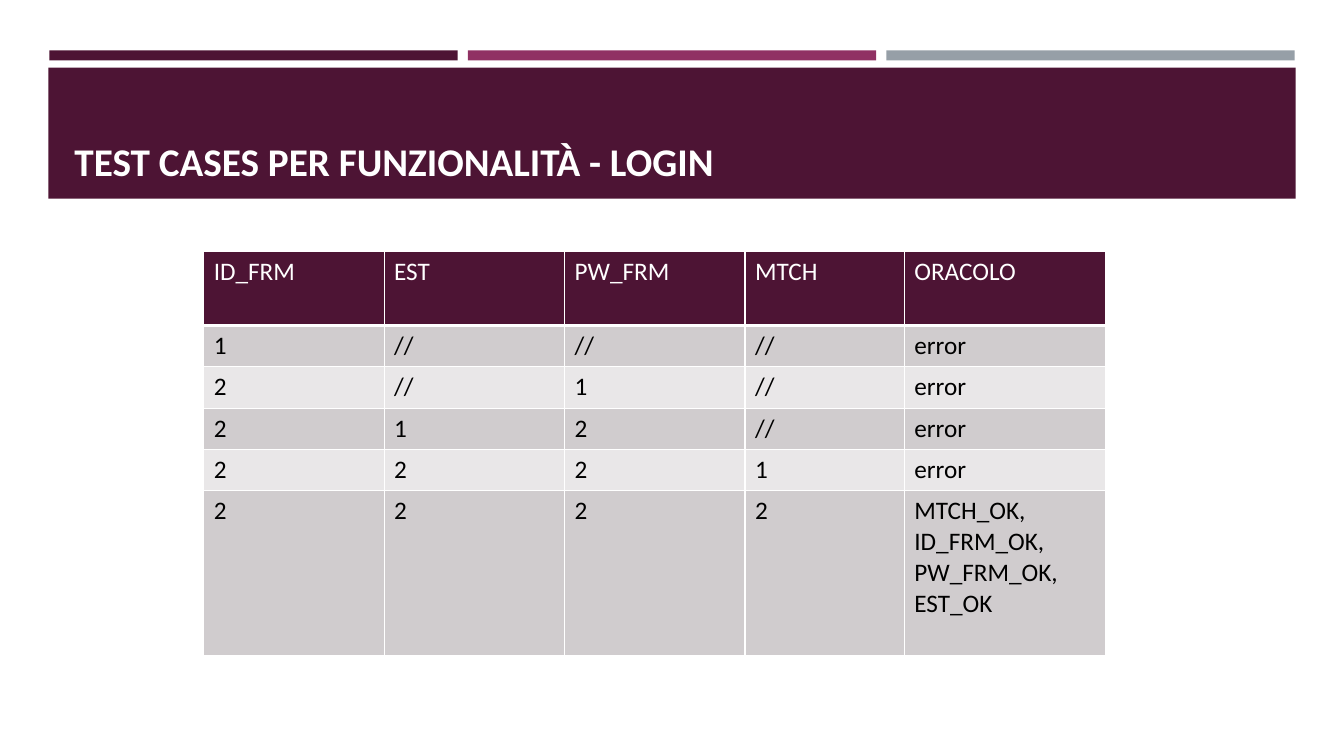
from pptx import Presentation
from pptx.dml.color import RGBColor as Rgb
from pptx.enum.shapes import MSO_SHAPE as Kind
from pptx.enum.text import MSO_ANCHOR as Anchor
from pptx.util import Pt
from lxml.etree import SubElement as Sub
from pptx.oxml.ns import qn

PX = 9144
PLUM, ROSE, GREY, WHITE, BLACK = "4D1434", "903163", "969FA7", "FFFFFF", "000000"
BANDS = ("D0CCCE", "E9E7E8")
COLS = (179, 179, 179, 158, 200)
ROWS = (74, 41, 41, 41, 41, 163)
CASES = (
    ("ID_FRM", "EST", "PW_FRM", "MTCH", "ORACOLO"),
    ("1", "//", "//", "//", "error"),
    ("2", "//", "1", "//", "error"),
    ("2", "1", "2", "//", "error"),
    ("2", "2", "2", "1", "error"),
    ("2", "2", "2", "2", "MTCH_OK, ID_FRM_OK, PW_FRM_OK, EST_OK"),
)


def color(code):
    return Rgb.from_string(code)


def scale(*sizes):
    return [size * PX for size in sizes]


def add_bar(slide, box, tint):
    bar = slide.shapes.add_shape(Kind.RECTANGLE, *scale(*box))
    bar.shadow.inherit = False
    bar.fill.solid()
    bar.fill.fore_color.rgb = color(tint)
    bar.line.fill.background()


def add_run(frame, text, size, tint, bold=False):
    run = frame.paragraphs[0].add_run()
    run.text = text
    font = run.font
    font.name, font.size, font.bold = "Calibri", Pt(size), bold
    font.color.rgb = color(tint)


def add_title(slide, box, text):
    frame = slide.shapes.add_textbox(*scale(*box)).text_frame
    frame.word_wrap = True
    frame.vertical_anchor = Anchor.BOTTOM
    add_run(frame, text, 28, WHITE, True)


def add_edge(cell, side, width):
    props = cell._tc.get_or_add_tcPr()
    line = Sub(props, qn("a:ln" + side), w=str(Pt(width)))
    Sub(Sub(line, qn("a:solidFill")), qn("a:srgbClr"), val=WHITE)


def fill_cell(cell, text, row):
    head = row == 0
    for side in "LRTB":
        thick = (row, side) in ((0, "B"), (1, "T"))
        add_edge(cell, side, 3 if thick else 1)
    cell.fill.solid()
    cell.fill.fore_color.rgb = color(PLUM if head else BANDS[(row - 1) % 2])
    add_run(cell.text_frame, text, 18, WHITE if head else BLACK)


def add_grid(slide, left, top):
    box = scale(left, top, sum(COLS), sum(ROWS))
    grid = slide.shapes.add_table(len(ROWS), len(COLS), *box).table
    for col, width in zip(grid.columns, scale(*COLS)):
        col.width = width
    for row, height in zip(grid.rows, scale(*ROWS)):
        row.height = height
    for row, case in enumerate(CASES):
        for col, text in enumerate(case):
            fill_cell(grid.cell(row, col), text, row)


def main():
    deck = Presentation()
    deck.slide_width, deck.slide_height = scale(1333, 750)
    slide = deck.slides.add_slide(deck.slide_layouts[6])
    for spot, tint in enumerate((PLUM, ROSE, GREY)):
        add_bar(slide, (49 + spot * 415, 50, 405, 10), tint)
    add_bar(slide, (48, 67, 1237, 130), PLUM)
    add_title(slide, (64, 77, 1206, 111), "TEST CASES PER FUNZIONALITÀ - LOGIN")
    add_grid(slide, 202, 249)
    deck.save("out.pptx")


if __name__ == "__main__":
    main()
